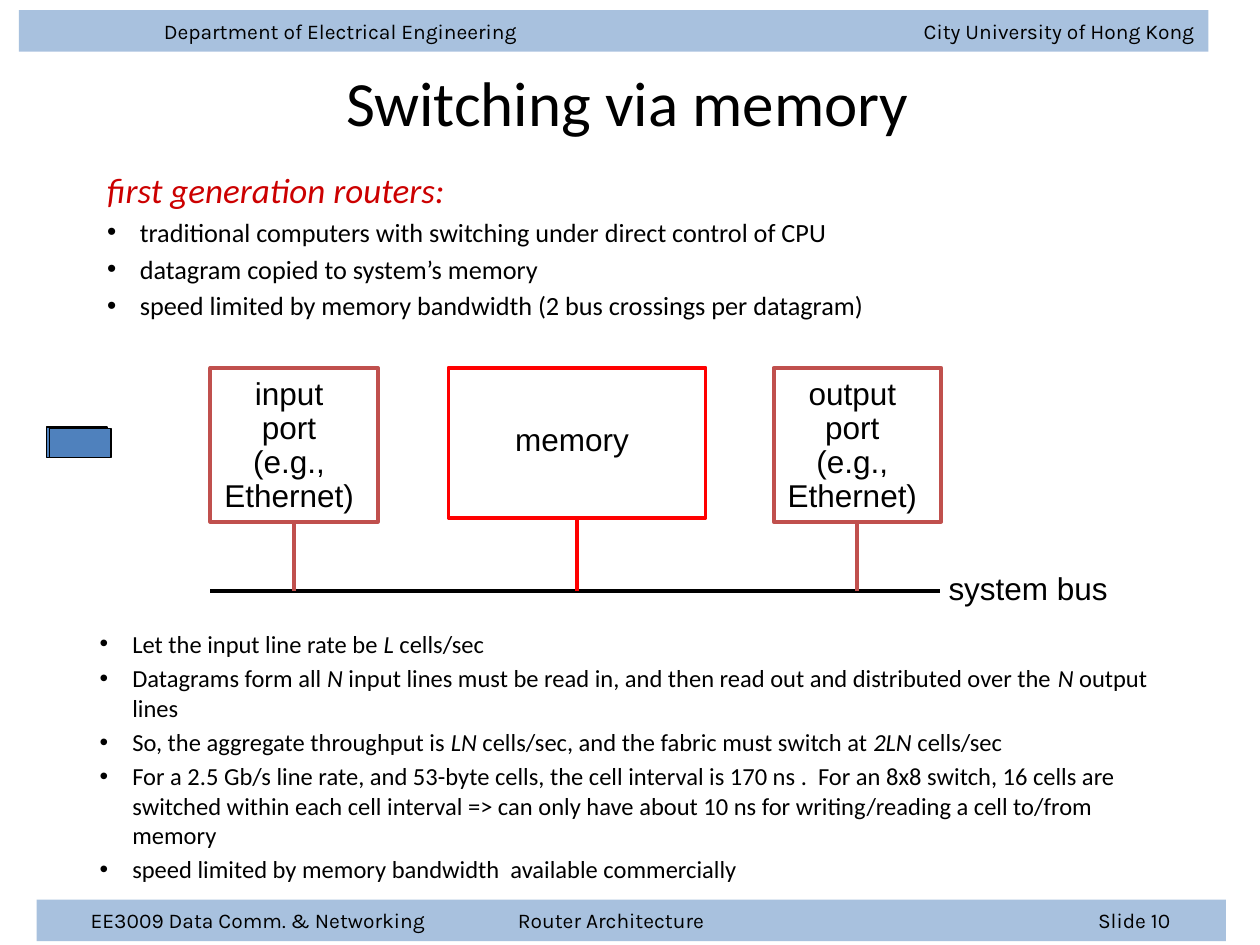
from dataclasses import dataclass

from lxml import etree
from pptx import Presentation
from pptx.dml.color import RGBColor
from pptx.enum import shapes, text
from pptx.oxml import ns
from pptx.util import Inches, Pt


@dataclass(frozen=True)
class Theme:
    black: str = "000000"
    white: str = "FFFFFF"
    blue: str = "4F81BD"
    brick: str = "C0504D"
    red: str = "FF0000"
    heading: str = "CC0000"
    body_font: str = "Calibri"
    label_font: str = "Arial"
    bar_font: str = "Karla"
    title_size: int = 36
    heading_size: int = 20
    label_size: int = 18
    feature_size: int = 15
    rate_size: int = 14
    bar_size: int = 12
    line_width: float = 2.25


THEME = Theme()
FEATURES = [
    "traditional computers with switching under direct control of CPU",
    "datagram copied to system’s memory",
    "speed limited by memory bandwidth (2 bus crossings per datagram)",
]
# Text between asterisks is italic.
RATES = [
    "Let the input line rate be *L* cells/sec",
    "Datagrams form all *N* input lines must be read in, and then read out and "
    "distributed over the *N* output lines",
    "So, the aggregate throughput is *LN* cells/sec, and the fabric must switch "
    "at *2LN* cells/sec",
    "For a 2.5 Gb/s line rate, and 53-byte cells, the cell interval is 170 ns .  "
    "For an 8x8 switch, 16 cells are switched within each cell interval => can only "
    "have about 10 ns for writing/reading a cell to/from memory",
    "speed limited by memory bandwidth  available commercially",
]
BUS_Y = 4.69


def apply(target, values):
    for name, value in values.items():
        setattr(target, name, value)


def add_child(parent, tag, **attributes):
    return etree.SubElement(parent, ns.qn(tag), attributes)


def place(shape, left, top, width, height):
    apply(shape, {"left": Inches(left), "top": Inches(top),
                  "width": Inches(width), "height": Inches(height)})


def add_text(paragraph, content, font, size, color=THEME.black, italic=False):
    """Write content, with the parts between asterisks in italics."""
    for index, part in enumerate(content.split("*")):
        run = paragraph.add_run()
        run.text = part
        apply(run.font, {"name": font, "size": Pt(size),
                         "italic": italic or index % 2 == 1})
        run.font.color.rgb = RGBColor.from_string(color)


def add_rect(slide, box, fill=None, line=None, width=THEME.line_width):
    rect = slide.shapes.add_shape(shapes.MSO_SHAPE.RECTANGLE, *map(Inches, box))
    rect.shadow.inherit = False
    if fill:
        rect.fill.solid()
        rect.fill.fore_color.rgb = RGBColor.from_string(fill)
    else:
        rect.fill.background()
    if line:
        rect.line.color.rgb = RGBColor.from_string(line)
        rect.line.width = Pt(width)
    else:
        rect.line.fill.background()
    return rect


def add_bar(slide, left, top, inset, tabs, parts):
    """Add a translucent band whose parts are set apart by tab stops."""
    bar = add_rect(slide, (left, top, 9.44, 0.33), THEME.blue)
    color = bar.fill._xPr.find(".//" + ns.qn("a:srgbClr"))
    add_child(color, "a:alpha", val="49000")
    apply(bar.text_frame, {"margin_left": Inches(inset), "word_wrap": True,
                           "vertical_anchor": text.MSO_ANCHOR.MIDDLE})
    paragraph = bar.text_frame.paragraphs[0]
    stops = add_child(paragraph._p.get_or_add_pPr(), "a:tabLst")
    for position, side in tabs:
        add_child(stops, "a:tab", pos=str(Inches(position)), algn=side)
    paragraph.alignment = text.PP_ALIGN.LEFT
    add_text(paragraph, "\t".join(parts), THEME.bar_font, THEME.bar_size)


def add_title(slide, content):
    title = slide.shapes.title
    place(title, 0.73, 0.47, 8.5, 0.67)
    apply(title.text_frame, {"vertical_anchor": text.MSO_ANCHOR.MIDDLE,
                             "auto_size": text.MSO_AUTO_SIZE.NONE})
    paragraph = title.text_frame.paragraphs[0]
    paragraph.alignment = text.PP_ALIGN.CENTER
    add_text(paragraph, content, THEME.body_font, THEME.title_size)


def fill_list(placeholder, box, items, size, heading=None):
    place(placeholder, *box)
    frame = placeholder.text_frame
    frame.auto_size = text.MSO_AUTO_SIZE.NONE
    lines = [heading] + items if heading else items
    for index, line in enumerate(lines):
        paragraph = frame.add_paragraph() if index else frame.paragraphs[0]
        properties = paragraph._p.get_or_add_pPr()
        properties.set("marL", str(Inches(0.26)))
        properties.set("indent", str(-Inches(0.26)))
        if line is heading:
            add_child(properties, "a:buNone")
            add_text(paragraph, line, THEME.body_font, THEME.heading_size,
                     THEME.heading, italic=True)
        else:
            add_child(properties, "a:buChar", char="•")
            add_text(paragraph, line, THEME.body_font, size)
        paragraph.space_before = Pt(0.2 * size if index else 0)


def add_label(slide, box, lines, align=text.PP_ALIGN.CENTER, spacing=0.9):
    frame = slide.shapes.add_textbox(*map(Inches, box)).text_frame
    apply(frame, {"word_wrap": False,
                  "auto_size": text.MSO_AUTO_SIZE.SHAPE_TO_FIT_TEXT})
    for index, line in enumerate(lines):
        paragraph = frame.add_paragraph() if index else frame.paragraphs[0]
        apply(paragraph, {"alignment": align, "line_spacing": spacing})
        add_text(paragraph, line, THEME.label_font, THEME.label_size)


def add_line(slide, start, end, color):
    line = slide.shapes.add_connector(
        shapes.MSO_CONNECTOR.STRAIGHT, *map(Inches, (*start, *end)))
    line.line.color.rgb = RGBColor.from_string(color)
    line.line.width = Pt(THEME.line_width)
    add_child(line._element.spPr, "a:effectLst")
    return line


def link_to_bus(slide, unit, box, color):
    left, top, width, height = box
    middle = left + width / 2
    link = add_line(slide, (middle, top + height), (middle, BUS_Y), color)
    link.begin_connect(unit, 2)


def add_port(slide, left, name):
    box = (left, 2.92, 1.33, 1.22)
    port = add_rect(slide, box, THEME.white, THEME.brick)
    add_label(slide, (left + 0.01, 2.95, 1.23, 1.18),
              [name, "port", "(e.g.,", "Ethernet)"])
    link_to_bus(slide, port, box, THEME.brick)


def add_memory(slide):
    box = (3.56, 2.92, 2.04, 1.19)
    add_label(slide, (3.99, 3.32, 1.1, 0.37), ["memory"])
    memory = add_rect(slide, box, line=THEME.red)
    link_to_bus(slide, memory, box, THEME.red)


def main():
    deck = Presentation()
    apply(deck, {"slide_width": Inches(10), "slide_height": Inches(7.5)})
    slide = deck.slides.add_slide(deck.slide_layouts.get_by_name("Two Content"))
    features, rates = list(slide.placeholders)[1:3]

    add_bar(slide, 0.15, 0.08, 1.15, [(8.18, "r")],
            ["Department of Electrical Engineering", "City University of Hong Kong"])
    add_bar(slide, 0.29, 7.14, 0.43, [(3.39, "l"), (8.57, "r")],
            ["EE3009 Data Comm. & Networking", "Router Architecture", "Slide 10"])
    add_title(slide, "Switching via memory")
    fill_list(features, (0.75, 1.29, 8.58, 1.17), FEATURES, THEME.feature_size,
              "first generation routers:")
    fill_list(rates, (0.69, 4.94, 8.58, 2.16), RATES, THEME.rate_size)

    add_line(slide, (1.67, BUS_Y), (7.46, BUS_Y), THEME.black)
    add_port(slide, 1.67, "input")
    add_memory(slide)
    add_port(slide, 6.14, "output")
    add_label(slide, (7.43, 4.47, 1.47, 0.4), ["system bus"],
              text.PP_ALIGN.LEFT, 1.0)
    for datagram in ((0.37, 3.39, 0.48, 0.24), (0.39, 3.4, 0.49, 0.23)):
        add_rect(slide, datagram, THEME.blue, THEME.black, 0.75)
    deck.save("out.pptx")


if __name__ == "__main__":
    main()
